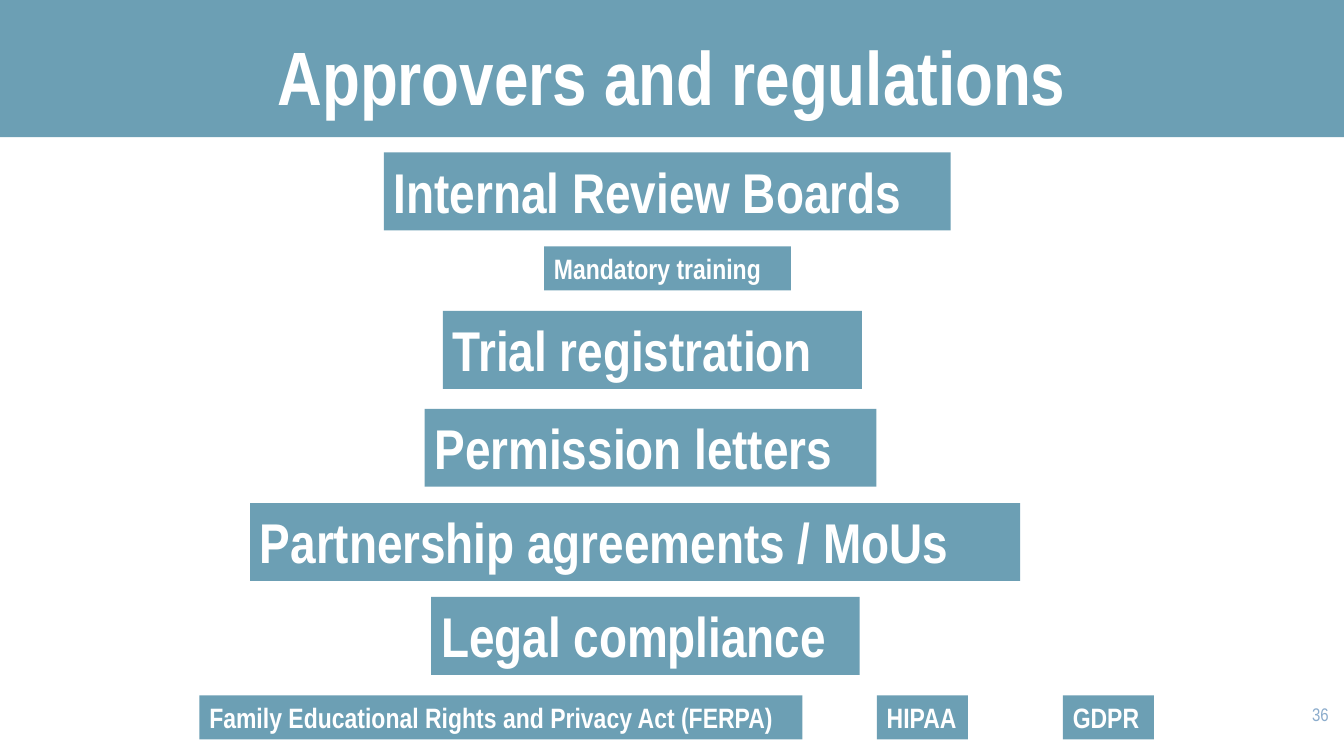
from typing import NamedTuple

from pptx import Presentation
from pptx.dml.color import RGBColor
from pptx.enum.shapes import MSO_SHAPE
from pptx.enum.text import MSO_ANCHOR, MSO_AUTO_SIZE, PP_ALIGN
from pptx.util import Pt

RECT = MSO_SHAPE.RECTANGLE
LEFT, CENTER, RIGHT = PP_ALIGN.LEFT, PP_ALIGN.CENTER, PP_ALIGN.RIGHT
BOTTOM = MSO_ANCHOR.BOTTOM
NO_FIT, FIT_SHAPE = MSO_AUTO_SIZE.NONE, MSO_AUTO_SIZE.SHAPE_TO_FIT_TEXT

FONT = "Arial Narrow"
TEAL, WHITE, PALE_BLUE = "6C9FB4", "FFFFFF", "8BACCC"
HEIGHTS = {40: 55.7, 20: 31.5}  # label height by font size


class Label(NamedTuple):
    text: str
    left: float
    top: float
    width: float
    size: int = 40


LABELS = [
    Label("Internal Review Boards", 274.3, 108.8, 404.8),
    Label("Mandatory training", 388.6, 176, 176.4, 20),
    Label("Trial registration", 316.3, 222, 299.3),
    Label("Permission letters", 303.3, 292, 322.8),
    Label("Partnership agreements / MoUs", 178.6, 359.3, 550),
    Label("Legal compliance", 308, 426.4, 306),
    Label("Family Educational Rights and Privacy Act (FERPA)", 142.4, 496.7, 430.8, 20),
    Label("HIPAA", 626.3, 496.7, 65, 20),
    Label("GDPR", 759.2, 496.7, 65, 20),
]


def set_fill(sp, color: str) -> None:
    sp.fill.solid()
    sp.fill.fore_color.rgb = RGBColor.from_string(color)


def write(tf, text: str, size: float, color: str, align, bold: bool = True) -> None:
    p = tf.paragraphs[0]
    p.alignment = align
    r = p.add_run()
    r.text = text
    r.font.name = FONT
    r.font.size = Pt(size)
    r.font.bold = bold
    r.font.color.rgb = RGBColor.from_string(color)


def add_banner(s) -> None:
    sp = s.shapes.add_shape(RECT, Pt(0), Pt(0), Pt(963), Pt(98))
    sp.shadow.inherit = False
    set_fill(sp, TEAL)
    sp.line.fill.background()
    # The banner belongs behind the title placeholder
    s.shapes._spTree.insert(2, sp._element)


def add_title(s, text: str) -> None:
    sp = s.shapes.title
    sp.left, sp.top, sp.width, sp.height = Pt(0), Pt(-8), Pt(960), Pt(98)
    tf = sp.text_frame
    tf.auto_size = NO_FIT
    tf.vertical_anchor = BOTTOM
    write(tf, text, 54, WHITE, CENTER)


def add_label(s, label: Label) -> None:
    sp = s.shapes.add_textbox(Pt(label.left), Pt(label.top),
                              Pt(label.width), Pt(HEIGHTS[label.size]))
    set_fill(sp, TEAL)
    tf = sp.text_frame
    tf.word_wrap = False
    tf.auto_size = FIT_SHAPE
    write(tf, label.text, label.size, WHITE, LEFT)


def add_page_number(s, number: str) -> None:
    sp = s.shapes.add_textbox(Pt(898.6), Pt(499), Pt(57.6), Pt(41))
    tf = sp.text_frame
    tf.word_wrap = True
    write(tf, number, 13, PALE_BLUE, RIGHT, bold=False)


def main() -> None:
    prs = Presentation()
    prs.slide_width, prs.slide_height = Pt(960), Pt(540)
    s = prs.slides.add_slide(prs.slide_layouts[0])
    subtitle = s.placeholders[1]._element
    subtitle.getparent().remove(subtitle)

    add_banner(s)
    add_title(s, "Approvers and regulations")
    add_page_number(s, "36")
    for label in LABELS:
        add_label(s, label)
    prs.save("out.pptx")


if __name__ == "__main__":
    main()
